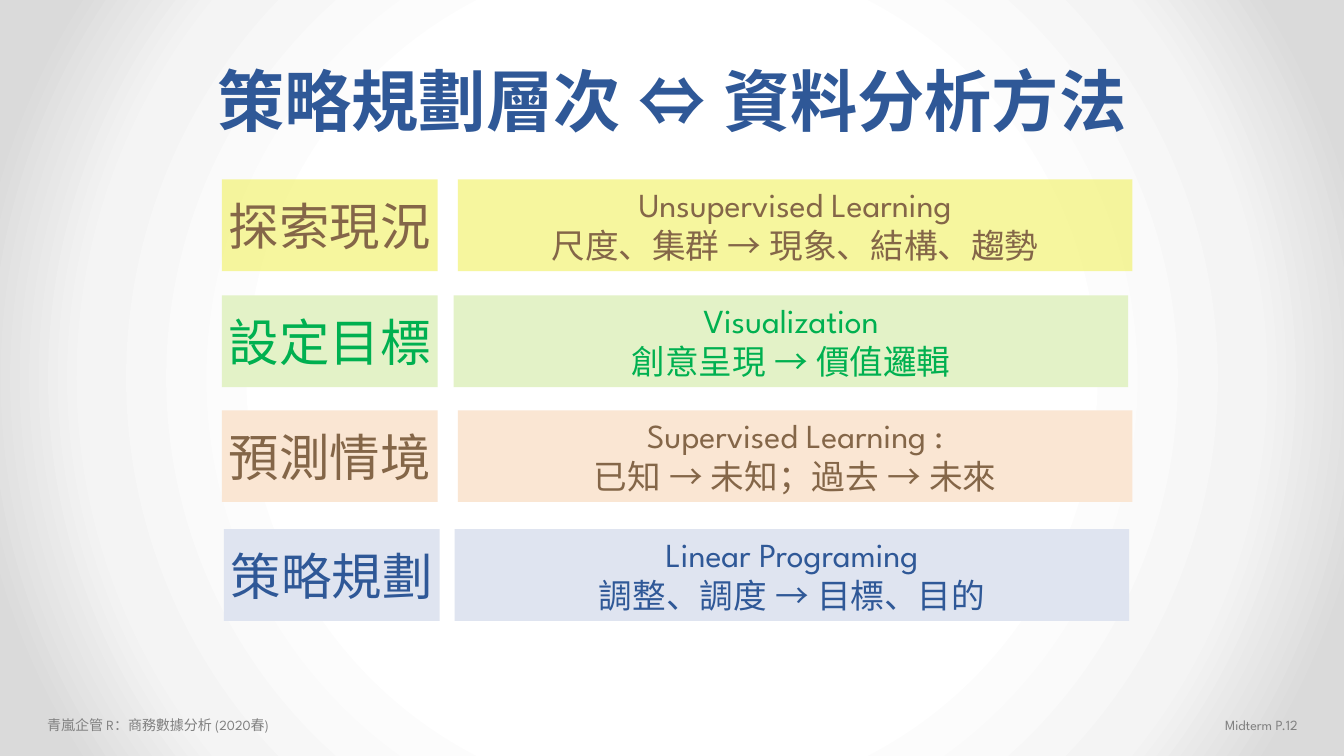
from pptx import Presentation
from pptx.dml.color import RGBColor
from pptx.enum.shapes import MSO_SHAPE
from pptx.enum.text import MSO_ANCHOR as ANCHOR, PP_ALIGN as ALIGN
from pptx.oxml import parse_xml
from pptx.oxml.ns import nsdecls, qn
from pptx.util import Inches, Pt
from lxml import etree

SPARTAN, NOTO = "League Spartan", "Noto Sans CJK SC"


def rgb(value):
    return RGBColor.from_string(value)


def write(sp, lines, size, font, color, align, anchor=ANCHOR.TOP, bold=False, wrap=True):
    tf = sp.text_frame
    tf.word_wrap, tf.vertical_anchor = wrap, anchor
    for i, line in enumerate(lines):
        p = tf.add_paragraph() if i else tf.paragraphs[0]
        p.alignment = align
        r = p.add_run()
        r.text = line
        for name, value in {"size": Pt(size), "name": font, "bold": bold}.items():
            setattr(r.font, name, value)
        r.font.color.rgb = rgb(color)
        etree.SubElement(r.font._element, qn("a:ea")).set("typeface", font)


prs = Presentation()
prs.slide_width, prs.slide_height = Inches(13.33), Inches(7.5)
s = prs.slides.add_slide(prs.slide_layouts[5])

s.background.fill.solid()
bg = s.background.fill._xPr
stops = "".join(
    f'<a:gs pos="{pos * 1000}"><a:srgbClr val="{color}"/></a:gs>'
    for pos, color in [(50, "FFFFFF"), (76, "F4F4F4"), (92, "DADADA")])
grad = parse_xml(
    f'<a:gradFill {nsdecls("a")} rotWithShape="1"><a:gsLst>{stops}</a:gsLst>'
    '<a:path path="circle"><a:fillToRect l="50000" t="50000" r="50000" b="50000"/></a:path>'
    '</a:gradFill>')
bg.replace(bg.find(qn("a:solidFill")), grad)

title = s.shapes.title
box = {"left": 1.39, "top": 0.52, "width": 10.55, "height": 0.94}
for name, value in box.items():
    setattr(title, name, Inches(value))
write(title, ["策略規劃層次 ⇔ 資料分析方法"], 48, SPARTAN, "2F5897",
      ALIGN.CENTER, ANCHOR.MIDDLE, bold=True)

footers = [
    (0.37, 2.68, "青嵐企管 R：商務數據分析 (2020春)", ALIGN.LEFT),
    (10.03, 2.94, "Midterm P.12", ALIGN.RIGHT),
]
for left, width, text, align in footers:
    sp = s.shapes.add_textbox(Inches(left), Inches(7.06), Inches(width), Inches(0.27))
    write(sp, [text], 10, SPARTAN, "808080", align)

levels = [
    (1.78, 2.2, 4.54, "EFEF3F", 50, "846648", "探索現況",
     ["Unsupervised Learning", "尺度、集群 → 現象、結構、趨勢"]),
    (2.93, 2.2, 4.5, "E3F2C7", 100, "00B050", "設定目標",
     ["Visualization", "創意呈現 → 價值邏輯"]),
    (4.07, 2.2, 4.54, "FAE6D3", 100, "846648", "預測情境",
     ["Supervised Learning :", "已知 → 未知；過去 → 未來"]),
    (5.25, 2.22, 4.51, "DFE4F0", 100, "2F5897", "策略規劃",
     ["Linear Programing", "調整、調度 → 目標、目的"]),
]
for top, level_left, method_left, fill, alpha, color, level, method in levels:
    cells = [
        (level_left, 2.14, [level], 36, NOTO, ANCHOR.MIDDLE, False),
        (method_left, 6.69, method, 24, SPARTAN, ANCHOR.TOP, True),
    ]
    for left, width, lines, size, font, anchor, wrap in cells:
        sp = s.shapes.add_shape(MSO_SHAPE.RECTANGLE, Inches(left), Inches(top),
                                Inches(width), Inches(0.91))
        sp.shadow.inherit = False
        sp.line.fill.background()
        sp.fill.solid()
        sp.fill.fore_color.rgb = rgb(fill)
        if alpha < 100:
            clr = sp._element.spPr.find(qn("a:solidFill")).find(qn("a:srgbClr"))
            etree.SubElement(clr, qn("a:alpha")).set("val", str(alpha * 1000))
        write(sp, lines, size, font, color, ALIGN.CENTER, anchor, wrap=wrap)

prs.save("out.pptx")
